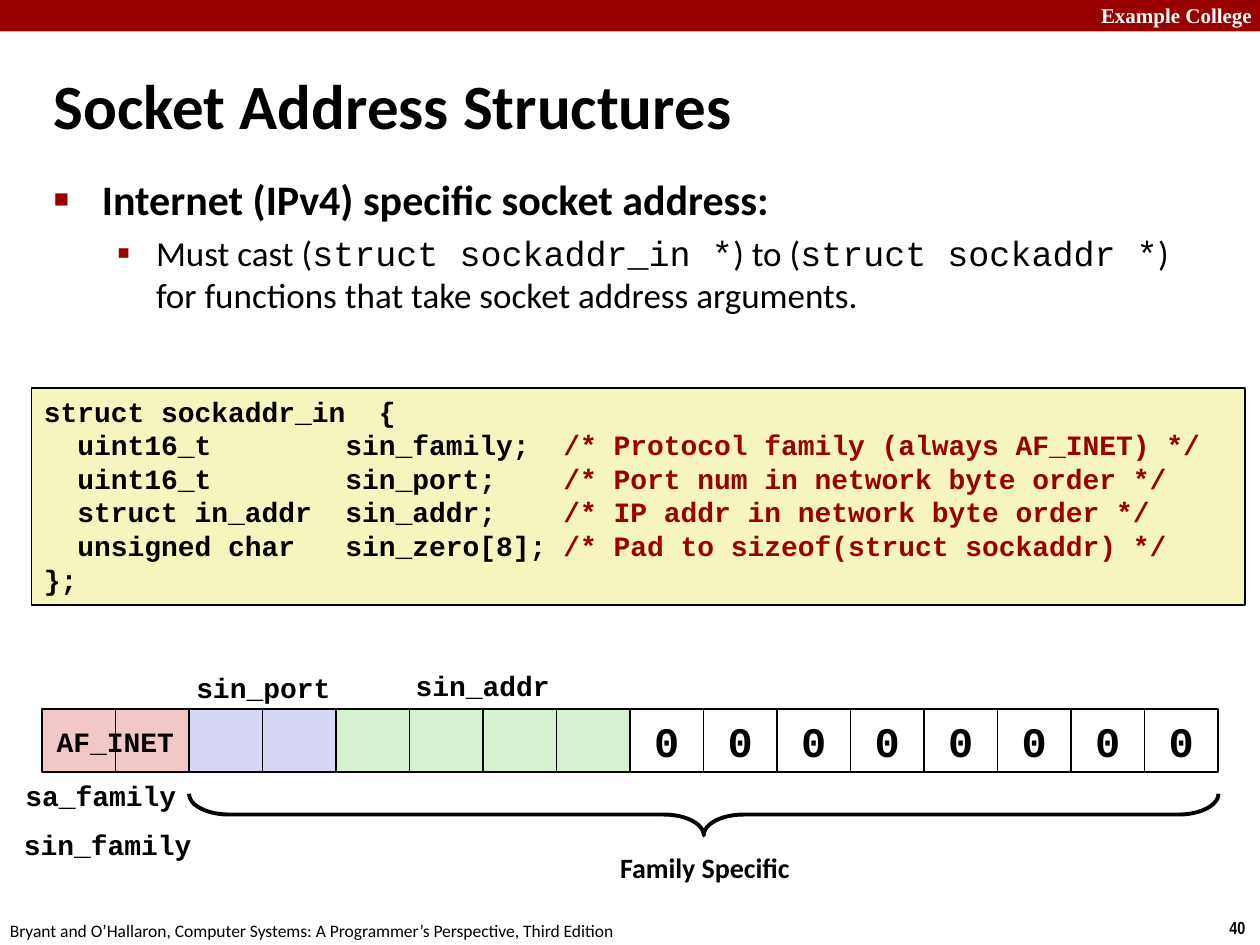
from dataclasses import dataclass

from lxml.etree import SubElement
from pptx import Presentation
from pptx.dml.color import RGBColor
from pptx.enum.shapes import MSO_SHAPE as Shape
from pptx.enum.text import MSO_ANCHOR as Anchor, PP_ALIGN as Align
from pptx.oxml.ns import qn
from pptx.util import Inches, Pt

BLACK, WHITE, RED = "000000", "FFFFFF", "990000"
PINK, BLUE, GREEN, YELLOW = "F1C7C7", "D6D6F5", "D5F1CF", "F6F5BD"
SANS, MONO = "Calibri", "Courier New"


@dataclass
class Span:
    text: str
    size: float = 16
    font: str = MONO
    color: str = BLACK
    bold: bool = True


@dataclass
class Label:
    span: Span
    left: float
    top: float
    width: float
    height: float = 0.37
    align: Align = Align.CENTER


@dataclass
class Bullet:
    spans: list[Span]
    char: str
    percent: int
    margin: float
    hanging: float
    before: float


def rgb(color: str) -> RGBColor:
    return RGBColor.from_string(color)


def add_span(para, span: Span) -> None:
    run = para.add_run()
    run.text = span.text
    formats = {"size": Pt(span.size), "name": span.font, "bold": span.bold}
    for name, value in formats.items():
        setattr(run.font, name, value)
    run.font.color.rgb = rgb(span.color)


def fill_text(box, lines: list[list[Span]], align=Align.LEFT, anchor=Anchor.TOP, wrap=True) -> None:
    frame = box.text_frame
    frame.word_wrap, frame.vertical_anchor = wrap, anchor
    for index, spans in enumerate(lines):
        para = frame.add_paragraph() if index else frame.paragraphs[0]
        para.alignment = align
        for span in spans:
            add_span(para, span)


def add_text(page, left, top, width, height, lines, **options):
    box = page.shapes.add_textbox(*map(Inches, (left, top, width, height)))
    fill_text(box, lines, **options)
    return box


def add_block(page, kind, left, top, width, height, fill=None, line=None, weight=1.0):
    block = page.shapes.add_shape(kind, *map(Inches, (left, top, width, height)))
    block.shadow.inherit = False
    if fill:
        block.fill.solid()
        block.fill.fore_color.rgb = rgb(fill)
    else:
        block.fill.background()
    if line:
        block.line.color.rgb = rgb(line)
        block.line.width = Pt(weight)
    else:
        block.line.fill.background()
    return block


def set_bullet(para, bullet: Bullet) -> None:
    para.space_before = Pt(bullet.before)
    props = para._p.get_or_add_pPr()
    props.set("marL", str(Inches(bullet.margin)))
    props.set("indent", str(-Inches(bullet.hanging)))
    SubElement(SubElement(props, qn("a:buClr")), qn("a:srgbClr"), val=RED)
    SubElement(props, qn("a:buSzPct"), val=str(bullet.percent * 1000))
    SubElement(props, qn("a:buFont"), typeface="Arial")
    SubElement(props, qn("a:buChar"), char=bullet.char)


deck = Presentation()
deck.slide_width, deck.slide_height = Inches(10), Inches(7.5)
page = deck.slides.add_slide(deck.slide_layouts[6])

# Header band, footer and title
add_block(page, Shape.RECTANGLE, 0, 0, 10, 0.25, RED)
add_text(page, 8.64, -0.03, 1.43, 0.3,
         [[Span("Example College", 12, "Times New Roman", WHITE)]])
add_text(page, 0.33, 0.4, 9.53, 0.85,
         [[Span("Socket Address Structures", 36, SANS)]], anchor=Anchor.MIDDLE)

# Bulleted body
BULLETS = [
    Bullet([Span("Internet (IPv4) specific socket address:", 24, SANS)],
           "■", 60, 0.38, 0.38, 4.8),
    Bullet([Span(text, 20, font, bold=False) for text, font in (
        ("Must cast (", SANS), ("struct sockaddr_in *", MONO), (") to (", SANS),
        ("struct sockaddr *", MONO),
        (") for functions that take socket address arguments.", SANS))],
        "▪", 110, 0.81, 0.31, 4),
]
body = add_text(page, 0.33, 1.33, 9.09, 1.83, [bullet.spans for bullet in BULLETS])
for para, bullet in zip(body.text_frame.paragraphs, BULLETS):
    set_bullet(para, bullet)

# Byte cells of the address
CELL_WIDTH = 7 / 12
CELL_FILLS = [PINK] * 2 + [BLUE] * 2 + [GREEN] * 4 + [WHITE] * 8
for index, fill in enumerate(CELL_FILLS):
    cell = add_block(page, Shape.RECTANGLE, 1 / 3 + index * CELL_WIDTH, 5.63,
                     CELL_WIDTH, 0.5, fill, BLACK)
    if fill == WHITE:
        fill_text(cell, [[Span("0", 24)]], align=Align.CENTER, anchor=Anchor.MIDDLE)

# Brace under the family-specific bytes
brace = add_block(page, Shape.RIGHT_BRACE, 5.42, 2.38, 0.33, 8.17, line=BLACK, weight=2.25)
brace.rotation = 90
brace.adjustments[0] = 0.96

# Structure declaration
CODE = [
    ("struct sockaddr_in  {", ""),
    ("  uint16_t        sin_family;  ", "/* Protocol family (always AF_INET) */"),
    ("  uint16_t        sin_port;    ", "/* Port num in network byte order */"),
    ("  struct in_addr  sin_addr;    ", "/* IP addr in network byte order */"),
    ("  unsigned char   sin_zero[8]; ", "/* Pad to sizeof(struct sockaddr) */"),
    ("};", ""),
]
code_box = add_block(page, Shape.RECTANGLE, 0.25, 3.08, 9.63, 1.72, YELLOW, BLACK)
fill_text(code_box, [[Span(code)] + ([Span(note, color=RED)] if note else [])
                     for code, note in CODE])

# Field labels and footer
LABELS = [
    Label(Span("sa_family"), 0.1, 6.13, 1.4),
    Label(Span("Family Specific", font=SANS), 4.81, 6.7, 1.57),
    Label(Span("sin_port"), 1.45, 5.27, 1.28),
    Label(Span("AF_INET"), 0.34, 5.7, 1.15),
    Label(Span("sin_addr"), 3.19, 5.26, 1.28),
    Label(Span("sin_family"), 0.08, 6.52, 1.55),
    Label(Span("40", 10, "Arial Narrow"), 9.66, 7.23, 0.34, 0.27, Align.LEFT),
    Label(Span("Bryant and O’Hallaron, Computer Systems: A Programmer’s Perspective, "
               "Third Edition", 10, SANS, bold=False), -0.02, 7.25, 5.08, 0.27, Align.LEFT),
]
for label in LABELS:
    add_text(page, label.left, label.top, label.width, label.height, [[label.span]],
             align=label.align, wrap=False)

deck.save("out.pptx")
